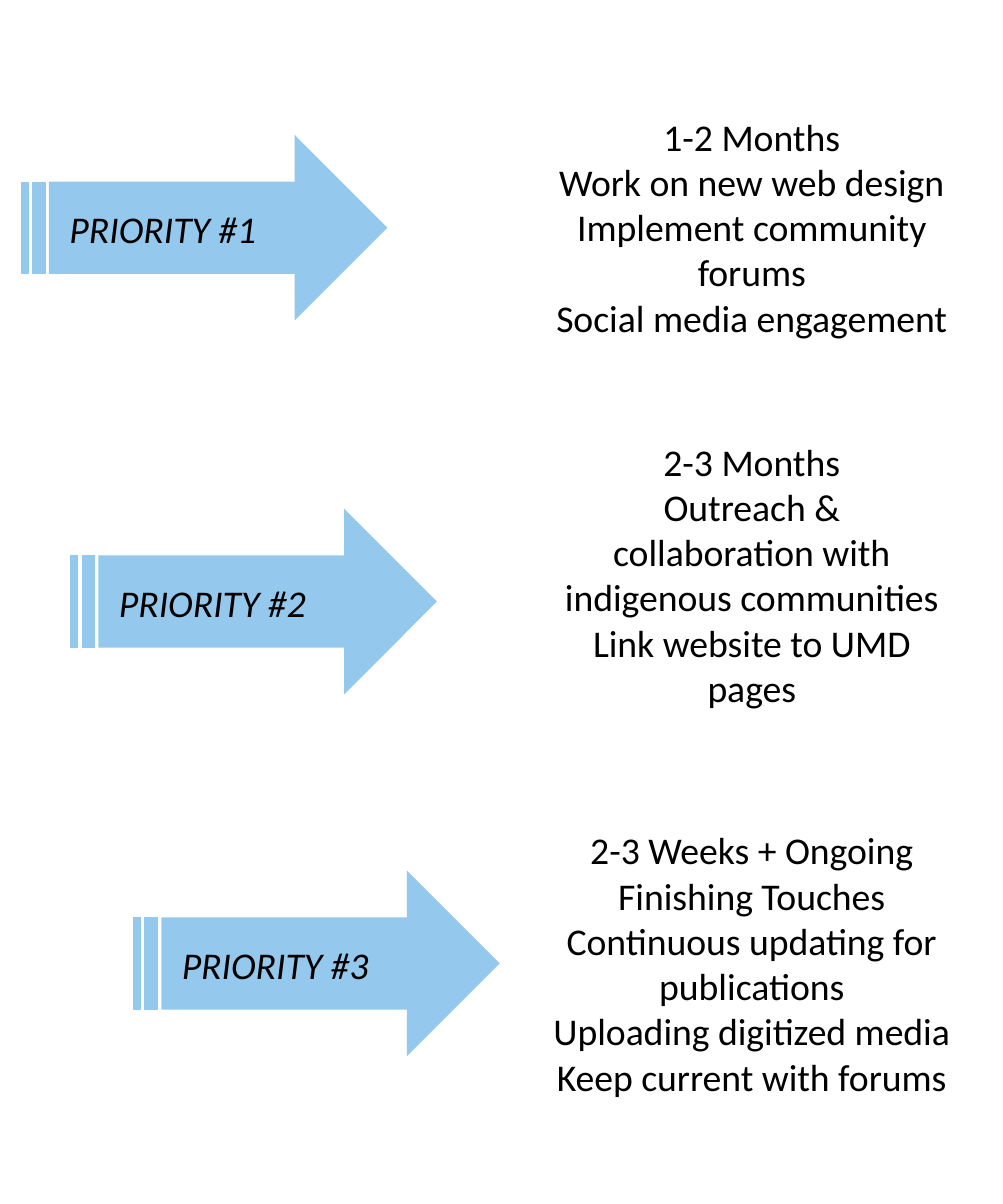
"""Build a slide of three priority arrows with their timelines."""
from lxml import etree
from pptx import Presentation
from pptx.dml.color import RGBColor
from pptx.enum.shapes import MSO_SHAPE
from pptx.enum.text import MSO_AUTO_SIZE, PP_ALIGN
from pptx.oxml.ns import qn
from pptx.util import Pt

ARROW = MSO_SHAPE.STRIPED_RIGHT_ARROW
FIT = MSO_AUTO_SIZE.SHAPE_TO_FIT_TEXT
LEFT, CENTER = PP_ALIGN.LEFT, PP_ALIGN.CENTER

BLUE = RGBColor(0x94, 0xC8, 0xED)
BLACK = RGBColor(0, 0, 0)
FONT = "Calibri"
EMU_PER_PX = 3600
TASKS_CENTER = 1124

PRIORITIES = [
    ("PRIORITY #1", (33, 206), (157, 729, 368),
     ["1-2 Months", "Work on new web design",
      "Implement community forums", "Social media engagement"]),
    ("PRIORITY #2", (107, 765), (643, 625, 437),
     ["2-3 Months", "Outreach & collaboration with indigenous communities",
      "Link website to UMD pages"]),
    ("PRIORITY #3", (201, 1306), (1224, 749, 437),
     ["2-3 Weeks + Ongoing", "Finishing Touches",
      "Continuous updating for publications",
      "Uploading digitized media", "Keep current with forums"]),
]


def px(n):
    """Turn px into EMU."""
    return n * EMU_PER_PX


def add_text(shapes, x, y, w, h, lines, align=LEFT, italic=False):
    """Add a wrapped text box with one paragraph per line."""
    tf = shapes.add_textbox(px(x), px(y), px(w), px(h)).text_frame
    tf.word_wrap = True
    tf.auto_size = FIT
    for i, line in enumerate(lines):
        p = tf.add_paragraph() if i else tf.paragraphs[0]
        p.alignment = align
        r = p.add_run()
        r.text = line
        r.font.name = FONT
        r.font.size = Pt(16)
        r.font.italic = italic
        r.font.color.rgb = BLACK


def add_priority(s, label, x, y):
    """Add a striped arrow with sharp corners, grouped with its label."""
    shapes = s.shapes.add_group_shape().shapes
    sp = shapes.add_shape(ARROW, px(x), px(y), px(544), px(269))
    sp.shadow.inherit = False
    sp.fill.solid()
    sp.fill.fore_color.rgb = BLUE
    sp.line.color.rgb = BLUE
    sp.line.width = Pt(1)
    ln = sp.element.spPr.find(qn("a:ln"))
    etree.SubElement(ln, qn("a:miter"), lim="800000")
    add_text(shapes, x + 46, y + 89, 394, 94, [label], italic=True)


def main():
    """Build and save the slide."""
    prs = Presentation()
    prs.slide_width, prs.slide_height = px(1500), px(1800)
    s = prs.slides.add_slide(prs.slide_layouts[6])
    for label, (x, y), (top, w, h), tasks in PRIORITIES:
        add_priority(s, label, x, y)
        add_text(s.shapes, TASKS_CENTER - w // 2, top, w, h, tasks, CENTER)
    prs.save("out.pptx")


if __name__ == "__main__":
    main()
